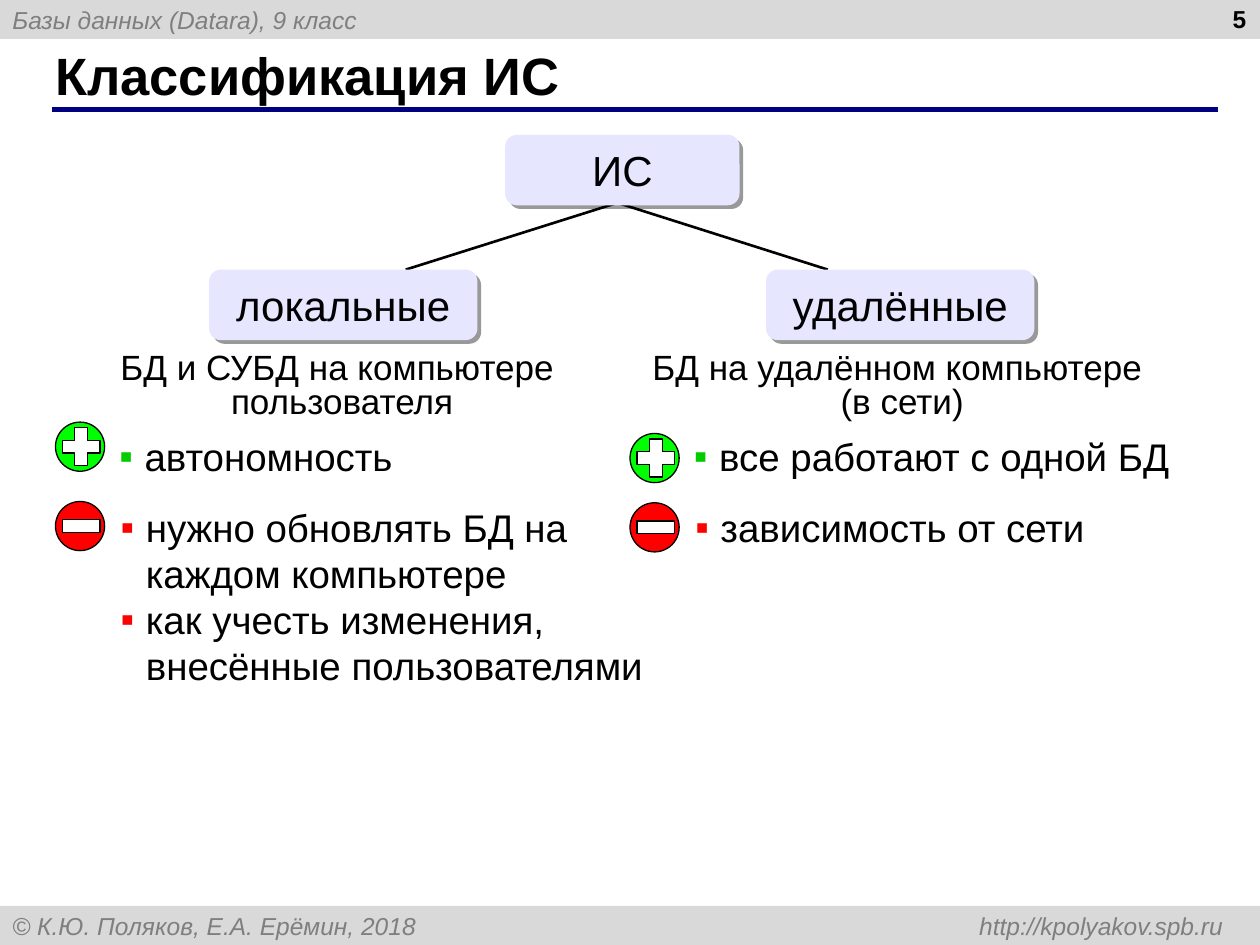
from dataclasses import dataclass

from lxml import etree
from pptx import Presentation
from pptx import util as u
from pptx.dml.color import RGBColor
from pptx.enum import shapes, text
from pptx.oxml.ns import qn

BLACK = RGBColor(0x00, 0x00, 0x00)
WHITE = RGBColor(0xFF, 0xFF, 0xFF)
GRAY = RGBColor(0x7F, 0x7F, 0x7F)
BAND = RGBColor(0xD9, 0xD9, 0xD9)
NAVY = RGBColor(0x00, 0x00, 0x80)
LAVENDER = RGBColor(0xE6, 0xE6, 0xFF)
LIME = RGBColor(0x00, 0xFF, 0x00)
GREEN = RGBColor(0x00, 0xCC, 0x00)
RED = RGBColor(0xFF, 0x00, 0x00)

CELL = u.Inches(0.1)
COLUMNS, ROWS = 100, 75
BAND_ROWS = 3.1
NODE_ROW, NODE_ROWS = 21.4, 5.6
BADGE, SIGN, SIGN_BAR = 3.9, 3.0, 1.0


@dataclass(frozen=True)
class Area:
    column: float
    row: float
    columns: float
    rows: float

    def emu(self) -> tuple[int, ...]:
        return tuple(cells(n) for n in (self.column, self.row, self.columns, self.rows))


@dataclass(frozen=True)
class Points:
    badge_row: float
    area: Area
    lines: tuple[str, ...]


@dataclass(frozen=True)
class Branch:
    name: str
    node_column: float
    link_column: float
    description: tuple[str, ...]
    description_area: Area
    badge_column: float
    pros: Points
    cons: Points


BRANCHES = (
    Branch("локальные", 16.6, 32.2, ("БД и СУБД на компьютере ", "пользователя"),
           Area(8.5, 27.6, 37.3, 6.4), 4.4,
           Points(33.5, Area(8.5, 33.9, 40, 6.7), ("автономность",)),
           Points(39.8, Area(8.6, 39.5, 45.8, 16),
                  ("нужно обновлять БД на каждом компьютере",
                   "как учесть изменения, внесённые пользователями"))),
    Branch("удалённые", 60.8, 65.7, ("БД на удалённом компьютере ", "(в сети)"),
           Area(50.7, 27.6, 41.8, 6.4), 50,
           Points(34.4, Area(54.1, 33.9, 42, 6.7), ("все работают с одной БД",)),
           Points(39.9, Area(54.2, 39.5, 38.7, 4.8), ("зависимость от сети",))),
)


def cells(count: float) -> int:
    return int(count * CELL)


def add_child(parent, tag: str, **attributes: str):
    return etree.SubElement(parent, qn(tag), attributes)


def add_shape(slide, kind, area: Area, fill: RGBColor, line: RGBColor | None = None):
    shape = slide.shapes.add_shape(kind, *area.emu())
    shape.shadow.inherit = False
    shape.fill.solid()
    shape.fill.fore_color.rgb = fill
    if line is None:
        shape.line.fill.background()
    else:
        shape.line.color.rgb = line
        shape.line.width = u.Pt(0.75)
    return shape


def add_line(slide, start: tuple[float, float], end: tuple[float, float],
             color: RGBColor, width: float) -> None:
    line = slide.shapes.add_connector(
        shapes.MSO_CONNECTOR.STRAIGHT, *(cells(n) for n in start + end))
    line.line.color.rgb = color
    line.line.width = u.Pt(width)
    add_child(line._element.spPr, "a:effectLst")


def add_bullet(paragraph, color: RGBColor) -> None:
    properties = paragraph._p.get_or_add_pPr()
    indent = u.Inches(0.2)
    properties.set("marL", str(indent))
    properties.set("indent", str(-indent))
    add_child(add_child(properties, "a:buClr"), "a:srgbClr", val=str(color))
    add_child(properties, "a:buFont", typeface="Arial")
    add_child(properties, "a:buChar", char="▪")


def write(shape, *paragraphs: tuple[str, ...], size: float, color: RGBColor = BLACK,
          bold: bool = False, italic: bool = False, align=text.PP_ALIGN.LEFT,
          anchor=text.MSO_ANCHOR.TOP, wrap: bool = True, spacing: float | None = None,
          bullet: RGBColor | None = None, right_tab: float | None = None) -> None:
    frame = shape.text_frame
    frame.word_wrap = wrap
    frame.vertical_anchor = anchor
    for index, lines in enumerate(paragraphs):
        paragraph = frame.add_paragraph() if index else frame.paragraphs[0]
        paragraph.alignment = align
        if spacing:
            paragraph.line_spacing = spacing
        if bullet is not None:
            add_bullet(paragraph, bullet)
        if right_tab:
            tabs = add_child(paragraph._p.get_or_add_pPr(), "a:tabLst")
            add_child(tabs, "a:tab", pos=str(cells(right_tab)), algn="r")
        for number, line in enumerate(lines):
            if number:
                paragraph.add_line_break()
            run = paragraph.add_run()
            run.text = line
            run.font.name = "Arial"
            run.font.size = u.Pt(size)
            run.font.bold = bold
            run.font.italic = italic
            run.font.color.rgb = color


def add_text(slide, area: Area, *paragraphs: tuple[str, ...], **style) -> None:
    write(slide.shapes.add_textbox(*area.emu()), *paragraphs, **style)


def add_band(slide, row: float, label: str, right_tab: float | None = None) -> None:
    band = add_shape(slide, shapes.MSO_SHAPE.RECTANGLE,
                     Area(0, row, COLUMNS, BAND_ROWS), BAND)
    write(band, (label,), size=14, color=GRAY, italic=True,
          anchor=text.MSO_ANCHOR.MIDDLE, right_tab=right_tab)


def add_node(slide, area: Area, name: str) -> None:
    node = add_shape(slide, shapes.MSO_SHAPE.ROUNDED_RECTANGLE, area, LAVENDER)
    effects = node._element.spPr.find(qn("a:effectLst"))
    shadow = add_child(effects, "a:outerShdw", blurRad="0", dist=str(u.Pt(3)),
                       dir=str(45 * 60000), algn="tl", rotWithShape="0")
    shade = add_child(shadow, "a:srgbClr", val=str(BLACK))
    add_child(shade, "a:alpha", val="40000")
    write(node, (name,), size=24, align=text.PP_ALIGN.CENTER)


def add_badge(slide, column: float, row: float, positive: bool) -> None:
    add_shape(slide, shapes.MSO_SHAPE.OVAL, Area(column, row, BADGE, BADGE),
              LIME if positive else RED, BLACK)
    height = SIGN if positive else SIGN_BAR
    kind = shapes.MSO_SHAPE.CROSS if positive else shapes.MSO_SHAPE.RECTANGLE
    sign = add_shape(slide, kind, Area(column + (BADGE - SIGN) / 2 + 0.1,
                                       row + (BADGE - height) / 2, SIGN, height),
                     WHITE, BLACK)
    if positive:
        sign.adjustments[0] = 0.33


def add_branch(slide, branch: Branch) -> None:
    add_node(slide, Area(branch.node_column, NODE_ROW, 21.3, NODE_ROWS), branch.name)
    add_text(slide, branch.description_area, branch.description, size=20,
             align=text.PP_ALIGN.CENTER, wrap=False, spacing=0.8)
    for points, positive in ((branch.pros, True), (branch.cons, False)):
        add_badge(slide, branch.badge_column, points.badge_row, positive)
        add_text(slide, points.area, *((line,) for line in points.lines),
                 size=22, bullet=GREEN if positive else RED)


def main() -> None:
    presentation = Presentation()
    presentation.slide_width = cells(COLUMNS)
    presentation.slide_height = cells(ROWS)
    slide = presentation.slides.add_slide(presentation.slide_layouts[6])
    add_band(slide, 0, "Базы данных (Datara), 9 класс")
    add_band(slide, ROWS - BAND_ROWS,
             "© К.Ю. Поляков, Е.А. Ерёмин, 2018 \thttp://kpolyakov.spb.ru", 96.1)
    add_line(slide, (4.1, 8.7), (96.7, 8.7), NAVY, 3)
    for branch in BRANCHES:
        add_line(slide, (49, 16.1), (branch.link_column, NODE_ROW), BLACK, 1.5)
    add_text(slide, Area(3.4, 3.3, 91.6, 5.2), ("Классификация ИС",), size=30,
             bold=True, anchor=text.MSO_ANCHOR.MIDDLE)
    add_text(slide, Area(76.6, -0.2, 23.3, 5.2), ("5",), size=14, bold=True,
             align=text.PP_ALIGN.RIGHT)
    add_node(slide, Area(40.1, 10.7, 18.6, NODE_ROWS), "ИС")
    for branch in BRANCHES:
        add_branch(slide, branch)
    presentation.save("out.pptx")


if __name__ == "__main__":
    main()
